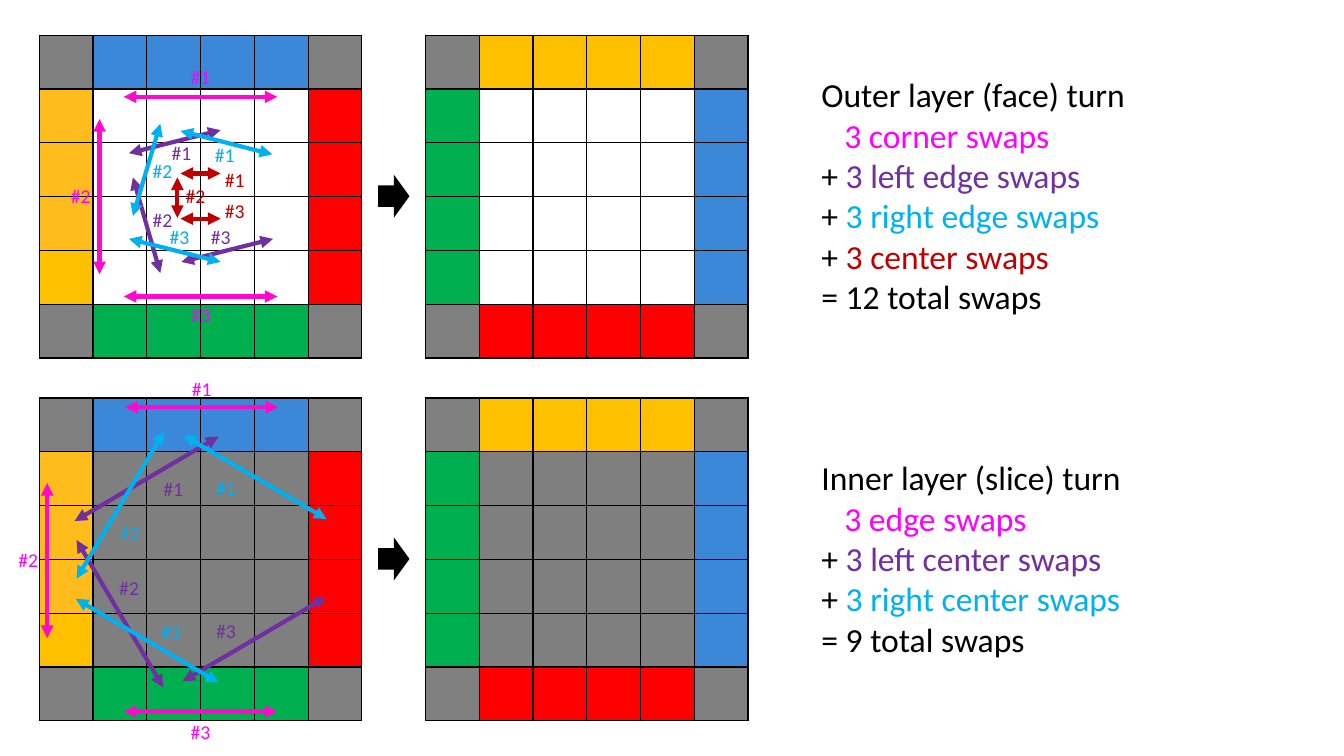
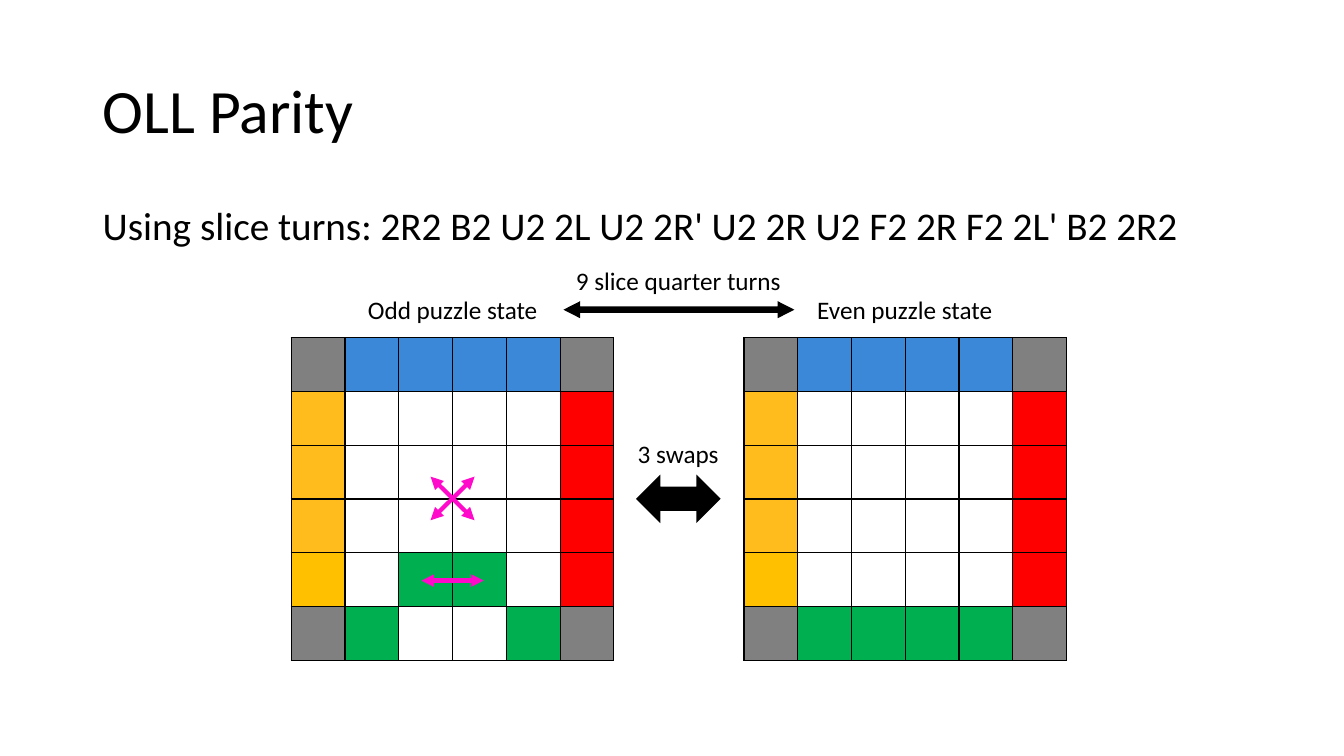
from lxml.etree import SubElement
from pptx import Presentation
from pptx.dml.color import RGBColor
from pptx.enum.shapes import MSO_CONNECTOR, MSO_SHAPE
from pptx.enum.text import MSO_ANCHOR, PP_ALIGN
from pptx.oxml.ns import qn
from pptx.util import Cm, Pt

BLACK, MAGENTA, PINK = "000000", "FF00FF", "FF09CA"
PURPLE, SKY, CRIMSON = "7030A0", "00B0F0", "C00000"
STICKERS = {"X": "808080", "S": "7F7F7F", "W": "FFFFFF", "B": "3B88D8",
            "A": "FFBC1C", "Y": "FFC000", "R": "FF0000", "G": "00B050"}
FACE_SIZE = 8.13
GRID = 6


def rgb(value):
    return RGBColor.from_string(value)


def face(top, left, right, bottom, inside):
    """Rows of sticker letters; left lists its four stickers downwards."""
    middle = [side + inside * 4 + right for side in left]
    return [f"X{top * 4}X", *middle, f"X{bottom * 4}X"]


class Slides:
    font = "Calibri"

    def __init__(self):
        self.deck = Presentation()
        self.deck.slide_width, self.deck.slide_height = Cm(33.87), Cm(19.05)
        self.page = None

    def add_page(self):
        self.page = self.deck.slides.add_slide(self.deck.slide_layouts[6])

    def text(self, lines, left, top, width, height, size, align=PP_ALIGN.LEFT,
             anchor=MSO_ANCHOR.TOP, spacing=None, before=None):
        """Each line is a list of (text, colour) spans."""
        box = self.page.shapes.add_textbox(Cm(left), Cm(top), Cm(width), Cm(height))
        frame = box.text_frame
        frame.word_wrap = True
        frame.vertical_anchor = anchor
        for number, spans in enumerate(lines):
            para = frame.add_paragraph() if number else frame.paragraphs[0]
            para.alignment = align
            para.line_spacing = spacing
            para.space_before = before
            for words, colour in spans:
                span = para.add_run()
                span.text = words
                span.font.name = self.font
                span.font.size = Pt(size)
                span.font.color.rgb = rgb(colour)
        return box

    def caption(self, words, left, top, width):
        self.text([[(words, BLACK)]], left, top, width, 1.02, 18, PP_ALIGN.CENTER)

    def summary(self, heading, swaps, total, top, height):
        """Heading, coloured terms of the sum and the total."""
        (first, colour), *others = swaps
        lines = [[(heading, BLACK)], [(first, colour)]]
        lines += [[("+ ", BLACK), term] for term in others]
        lines.append([(total, BLACK)])
        box = self.text(lines, 20.45, top, 10.74, height, 24)
        first_term = box.text_frame.paragraphs[1]
        first_term._p.get_or_add_pPr().set("marL", str(Cm(0.58)))

    def cube(self, rows, left, top):
        frame = self.page.shapes.add_table(GRID, GRID, Cm(left), Cm(top),
                                           Cm(FACE_SIZE), Cm(FACE_SIZE))
        table = frame.table
        table.first_row = table.horz_banding = False
        for line in (*table.columns, *table.rows):
            if hasattr(line, "width"):
                line.width = Cm(FACE_SIZE / GRID)
            else:
                line.height = Cm(FACE_SIZE / GRID)
        for row, letters in enumerate(rows):
            for column, letter in enumerate(letters):
                cell = table.cell(row, column)
                self.border(cell)
                cell.fill.solid()
                cell.fill.fore_color.rgb = rgb(STICKERS[letter])

    def border(self, cell):
        properties = cell._tc.get_or_add_tcPr()
        for side in ("lnL", "lnR", "lnT", "lnB"):
            edge = SubElement(properties, qn(f"a:{side}"), w=str(Pt(1)))
            fill = SubElement(edge, qn("a:solidFill"))
            SubElement(fill, qn("a:srgbClr"), val=BLACK)

    def block_arrow(self, kind, left, top, width, height, adjustments=()):
        shape = self.page.shapes.add_shape(kind, Cm(left), Cm(top), Cm(width), Cm(height))
        shape.shadow.inherit = False
        shape.fill.solid()
        shape.fill.fore_color.rgb = rgb(BLACK)
        shape.line.fill.background()
        for index, value in enumerate(adjustments):
            shape.adjustments[index] = value

    def swap_arrow(self, ends, colour):
        line = self.page.shapes.add_connector(MSO_CONNECTOR.STRAIGHT,
                                              *(Cm(end) for end in ends))
        line.line.color.rgb = rgb(colour)
        line.line.width = Pt(3)
        properties = line._element.spPr
        stroke = properties.find(qn("a:ln"))
        for end in ("headEnd", "tailEnd"):
            SubElement(stroke, qn(f"a:{end}"), type="triangle")
        SubElement(properties, qn("a:effectLst"))

    def swap_cycles(self, cycles):
        """Arrows of every cycle, then their numbers on top."""
        for colour, _, swaps in cycles:
            for ends, _ in swaps:
                self.swap_arrow(ends, colour)
        for _, colour, swaps in cycles:
            for number, (_, (left, top)) in enumerate(swaps, 1):
                self.text([[(f"#{number}", colour)]], left, top, 1.17, 0.86, 14,
                          PP_ALIGN.CENTER)


# Each swap: arrow ends (x, y, x, y) and the left and top of its number
OUTER_CYCLES = [
    (PINK, MAGENTA, [((6.99, 2.44, 3.12, 2.44), (4.47, 1.52)),
                     ((2.51, 6.91, 2.51, 3), (1.45, 4.52)),
                     ((6.99, 7.47, 3.12, 7.47), (4.47, 7.52))]),
    (CRIMSON, CRIMSON, [((5.56, 4.37, 4.55, 4.37), (5.33, 4.11)),
                        ((4.47, 4.47, 4.47, 5.49), (4.34, 4.5)),
                        ((5.56, 5.51, 4.55, 5.51), (5.33, 4.88))]),
    (PURPLE, PURPLE, [((5.56, 3.28, 3.25, 3.86), (3.99, 3.43)),
                      ((4.04, 6.88, 3.35, 4.47), (3.51, 5.11)),
                      ((6.88, 6.02, 4.57, 6.6), (4.98, 5.54))]),
    (SKY, SKY, [((6.86, 3.89, 4.55, 3.3), (5.08, 3.48)),
                ((3.35, 5.44, 4.04, 3.12), (3.51, 3.89)),
                ((5.56, 6.6, 3.25, 6.02), (3.94, 5.54))]),
]
INNER_CYCLES = [
    (PINK, MAGENTA, [((7.01, 10.26, 3.15, 10.26), (4.5, 9.37)),
                     ((1.19, 16.08, 1.19, 12.17), (0.13, 13.69)),
                     ((6.99, 17.93, 3.12, 17.93), (4.47, 18.01))]),
    (PURPLE, PURPLE, [((5.51, 11, 1.88, 13.13), (3.78, 11.89)),
                      ((1.93, 13.61, 4.11, 17.32), (2.67, 14.38)),
                      ((8.23, 15.04, 4.6, 17.17), (5.11, 15.47))]),
    (SKY, SKY, [((8.23, 13.08, 4.62, 10.97), (5.11, 11.86)),
                ((4.14, 10.87, 1.93, 14.58), (2.69, 13)),
                ((5.51, 17.2, 1.91, 15.09), (3.73, 15.49))]),
]


def add_turns(slides):
    slides.add_page()
    # Faces before and after each turn
    for top, inside in ((0.89, "W"), (10.03, "S")):
        slides.cube(face("B", "AAAY", "R", "G", inside), 0.99, top)
        slides.block_arrow(MSO_SHAPE.RIGHT_ARROW, 9.53, top + 3.51, 0.79, 1.09)
        slides.cube(face("Y", "GGGG", "B", "R", inside), 10.72, top)
    # Sums of swaps
    slides.summary("Outer layer (face) turn",
                   [("3 corner swaps", MAGENTA), ("3 left edge swaps", PURPLE),
                    ("3 right edge swaps", SKY), ("3 center swaps", CRIMSON)],
                   "= 12 total swaps", 1.75, 6.4)
    slides.summary("Inner layer (slice) turn",
                   [("3 edge swaps", MAGENTA), ("3 left center swaps", PURPLE),
                    ("3 right center swaps", SKY)],
                   "= 9 total swaps", 11.4, 5.38)
    # Numbered swaps
    slides.swap_cycles(OUTER_CYCLES)
    slides.swap_cycles(INNER_CYCLES)


def add_parity(slides):
    slides.add_page()
    # Title and algorithm
    slides.text([[("OLL Parity", BLACK)]], 2.34, 1.02, 29.21, 3.68, 44,
                anchor=MSO_ANCHOR.MIDDLE, spacing=0.9)
    algorithm = "Using slice turns: 2R2 B2 U2 2L U2 2R' U2 2R U2 F2 2R F2 2L' B2 2R2"
    slides.text([[(algorithm, BLACK)]], 2.34, 5.08, 29.21, 12.09, 28,
                spacing=0.9, before=Pt(10))
    # Odd and even faces
    even = face("B", "AAAY", "R", "G", "W")
    odd = even[:4] + ["YWGGWR", "XGWWGX"]
    slides.cube(odd, 7.34, 8.51)
    slides.cube(even, 18.75, 8.51)
    # Swapped pieces
    for ends in ((12.19, 14.63, 10.62, 14.63), (11.96, 13.11, 10.85, 12.01),
                 (11.96, 12.01, 10.85, 13.11)):
        slides.swap_arrow(ends, PINK)
    # Arrows between the states and captions
    slides.block_arrow(MSO_SHAPE.LEFT_RIGHT_ARROW, 16.03, 11.96, 2.13, 1.22)
    slides.block_arrow(MSO_SHAPE.LEFT_RIGHT_ARROW, 14.2, 7.59, 5.82, 0.43, (0.38, 0.98))
    slides.caption("3 swaps", 15.77, 10.92, 2.64)
    slides.caption("Odd puzzle state", 8.97, 7.29, 4.88)
    slides.caption("Even puzzle state", 20.17, 7.29, 5.26)
    slides.caption("9 slice quarter turns", 14.15, 6.55, 5.89)


def main():
    slides = Slides()
    add_turns(slides)
    add_parity(slides)
    slides.deck.save("out.pptx")


if __name__ == "__main__":
    main()
